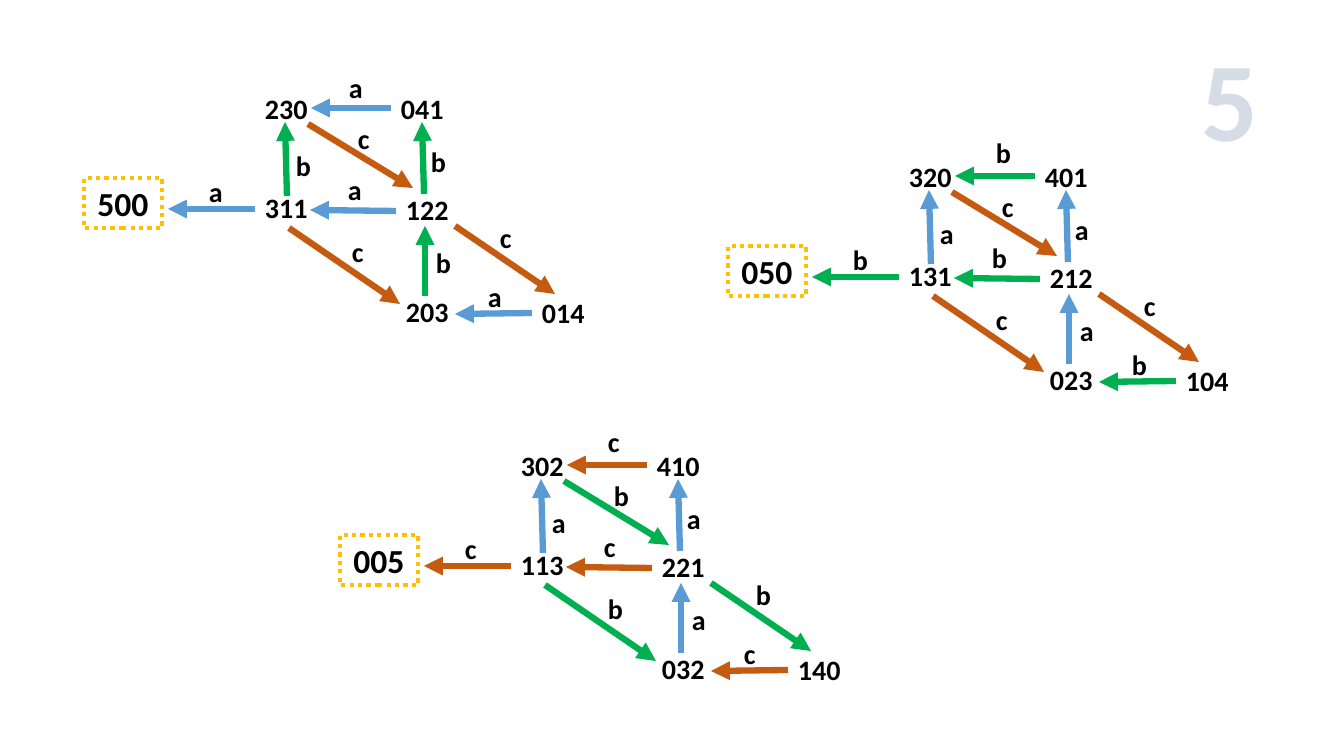
from dataclasses import dataclass

from lxml.etree import SubElement, fromstring
from pptx import Presentation
from pptx.dml.color import RGBColor
from pptx.enum.dml import MSO_LINE
from pptx.enum.shapes import MSO_CONNECTOR, MSO_SHAPE
from pptx.enum.text import MSO_ANCHOR, MSO_AUTO_SIZE, PP_ALIGN
from pptx.oxml.ns import nsdecls, qn
from pptx.util import Emu, Pt

EMU_PER_PX = 914400 / 100.8


@dataclass(frozen=True)
class Theme:
    """Colours, font and type sizes of the slide."""
    font: str = "Calibri"
    text: str = "000000"
    goal_line: str = "FFC000"
    move_a: str = "5B9BD5"
    move_b: str = "00B050"
    move_c: str = "C55A11"
    number_pattern: str = "44546A"
    number_back: str = "D6DCE5"
    number_outline: str = "333F50"
    node_size: int = 20
    goal_size: int = 24
    number_size: int = 80
    goal_width: float = 3
    arrow_width: float = 4.5

    def move(self, letter):
        """Return the colour of a move."""
        return {"a": self.move_a, "b": self.move_b, "c": self.move_c}[letter]


THEME = Theme()

NODE_SPOTS = [(171, 21), (307, 21), (171, 120), (312, 122), (312, 224), (448, 225)]

EDGES = {
    "across": [
        ((307, 42), (227, 42), (255, 0)),
        ((312, 145), (226, 144), (254, 102)),
        ((171, 143), (84, 143), (115, 104)),
        ((448, 247), (371, 248), (394, 209)),
    ],
    "up": [
        ((203, 130), (201, 56), (202, 78)),
        ((340, 128), (338, 56), (337, 74)),
        ((341, 230), (341, 160), (342, 175)),
    ],
    "down": [
        ((224, 58), (329, 122), (264, 51)),
        ((205, 162), (316, 238), (258, 164)),
        ((371, 160), (471, 228), (406, 150)),
    ],
}

GRAPHS = [
    ((84, 66), "500", ["230", "041", "311", "122", "203", "014"], "abc", (0, 0)),
    ((728, 134), "050", ["320", "401", "131", "212", "023", "104"], "bac", (3, -3)),
    ((340, 423), "005", ["302", "410", "113", "221", "032", "140"], "cab", (3, -3)),
]


def px(*values):
    """Turn pixels into EMU."""
    return [Emu(round(v * EMU_PER_PX)) for v in values]


def write(shape, text, size, align=PP_ALIGN.LEFT):
    """Fill a shape with one bold paragraph."""
    tf = shape.text_frame
    tf.word_wrap = True
    tf.auto_size = MSO_AUTO_SIZE.SHAPE_TO_FIT_TEXT
    p = tf.paragraphs[0]
    p.text = text
    p.alignment = align
    p.font.name = THEME.font
    p.font.size = Pt(size)
    p.font.bold = True
    p.font.color.rgb = RGBColor.from_string(THEME.text)


def add_text(s, x, y, w, h, text):
    """Add a node or move label."""
    write(s.shapes.add_textbox(*px(x, y, w, h)), text, THEME.node_size)


def add_goal(s, x, y, text):
    """Add the dotted box of the goal state."""
    sp = s.shapes.add_shape(MSO_SHAPE.RECTANGLE, *px(x, y, 78, 50))
    sp.shadow.inherit = False
    sp.fill.background()
    sp.line.color.rgb = RGBColor.from_string(THEME.goal_line)
    sp.line.width = Pt(THEME.goal_width)
    sp.line.dash_style = MSO_LINE.ROUND_DOT
    write(sp, text, THEME.goal_size, PP_ALIGN.CENTER)
    sp.text_frame.vertical_anchor = MSO_ANCHOR.MIDDLE


def add_arrow(s, x1, y1, x2, y2, color):
    """Add an arrow between two points."""
    cxn = s.shapes.add_connector(MSO_CONNECTOR.STRAIGHT, *px(x1, y1, x2, y2))
    cxn.line.color.rgb = RGBColor.from_string(color)
    cxn.line.width = Pt(THEME.arrow_width)
    SubElement(cxn.line._get_or_add_ln(), qn("a:tailEnd"), type="triangle")
    SubElement(cxn._element.spPr, qn("a:effectLst"))


def add_graph(s, origin, goal, nodes, moves, top_nudge):
    """Draw one state graph from the top left corner of its box."""
    left, top = origin
    add_goal(s, left, top + 112, goal)
    for (x, y), node in zip(NODE_SPOTS, nodes):
        add_text(s, left + x, top + y, 78, 44, node)
    for edges, move in zip(EDGES.values(), moves):
        for (x1, y1), (x2, y2), (x, y) in edges:
            add_arrow(s, left + x1, top + y1, left + x2, top + y2, THEME.move(move))
            dx, dy = top_nudge if y == 0 else (0, 0)
            add_text(s, left + x + dx, top + y + dy, 41, 44, move)


def add_number(s, x, y, w, h, text):
    """Add the large patterned number."""
    sp = s.shapes.add_textbox(*px(x, y, w, h))
    tf = sp.text_frame
    tf.word_wrap = False
    tf.auto_size = MSO_AUTO_SIZE.SHAPE_TO_FIT_TEXT
    p = tf.paragraphs[0]
    p.alignment = PP_ALIGN.CENTER
    r = p.add_run()
    r.text = text
    r.font.name = THEME.font
    r.font.size = Pt(THEME.number_size)
    r.font.bold = True
    outline = fromstring(
        f'<a:ln {nsdecls("a")} w="12700"><a:solidFill>'
        f'<a:srgbClr val="{THEME.number_outline}"/></a:solidFill></a:ln>')
    pattern = fromstring(
        f'<a:pattFill {nsdecls("a")} prst="dkUpDiag">'
        f'<a:fgClr><a:srgbClr val="{THEME.number_pattern}"/></a:fgClr>'
        f'<a:bgClr><a:srgbClr val="{THEME.number_back}"/></a:bgClr></a:pattFill>')
    rPr = r._r.get_or_add_rPr()
    rPr.insert(0, outline)
    rPr.insert(1, pattern)


def main():
    """Build and save the slide."""
    prs = Presentation()
    prs.slide_width, prs.slide_height = px(1344, 756)
    s = prs.slides.add_slide(prs.slide_layouts[6])
    add_number(s, 1191, 25, 78, 146, "5")
    for graph in GRAPHS:
        add_graph(s, *graph)
    prs.save("out.pptx")


main()
